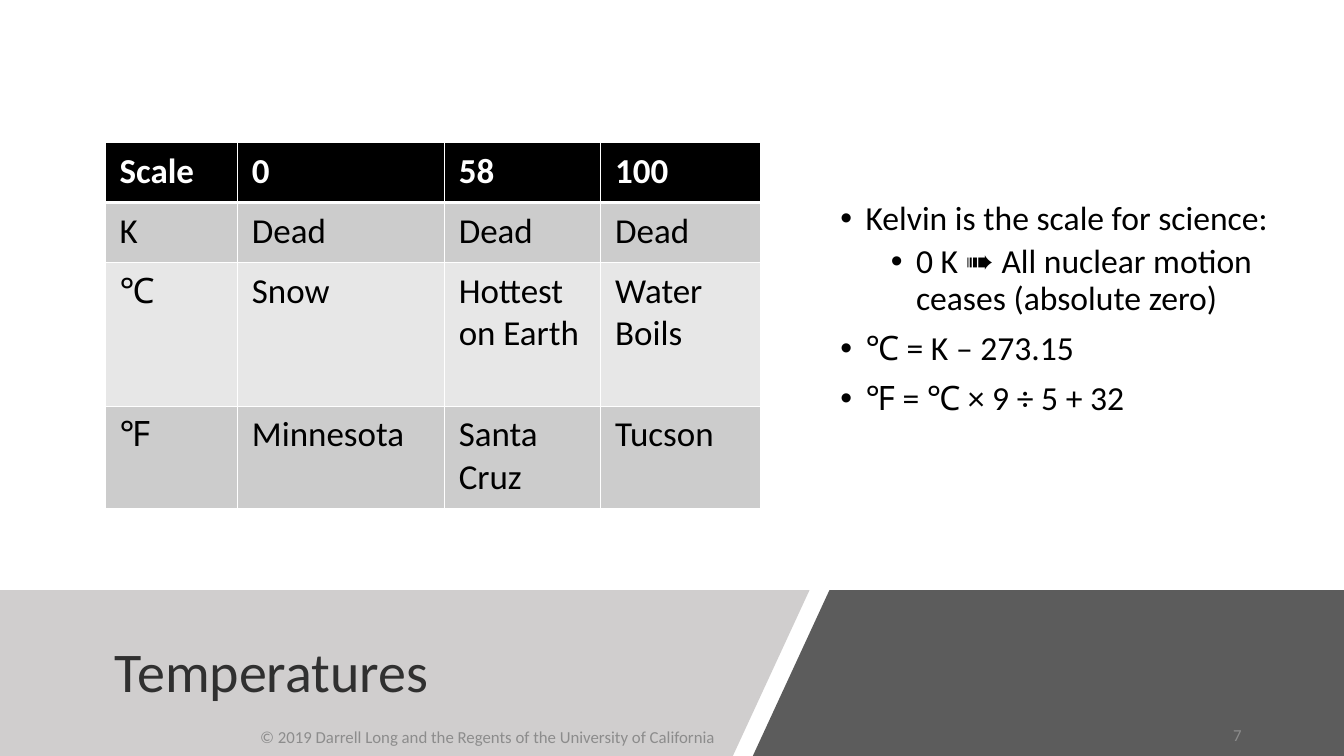
import pptx
import pptx.util
import pptx.dml.color
import pptx.enum.text
import pptx.oxml
import pptx.oxml.ns

PX = 9525
FONT = "Calibri"
COLORS = {
    "black": "000000",
    "white": "FFFFFF",
    "title": "303030",
    "footer": "8C8C8C",
    "left_band": "D0CECE",
    "right_band": "404040",
    "odd_row": "CCCCCC",
    "even_row": "E7E7E7",
}
ALIGN = pptx.enum.text.PP_ALIGN

COLUMN_WIDTHS = [126, 197, 149, 152]
ROW_HEIGHTS = [57, 57, 137, 97]
SCALES = [
    ["Scale", "0", "58", "100"],
    ["K", "Dead", "Dead", "Dead"],
    ["℃", "Snow", "Hottest on Earth", "Water Boils"],
    ["℉", "Minnesota", "Santa Cruz", "Tucson"],
]
FACTS = [
    (0, "Kelvin is the scale for science:"),
    (1, "0 K ➠ All nuclear motion ceases (absolute zero)"),
    (0, "℃ = K – 273.15"),
    (0, "℉ = ℃ × 9 ÷ 5 + 32"),
]


def px(length):
    return pptx.util.Emu(length * PX)


def rgb(color):
    return pptx.dml.color.RGBColor.from_string(COLORS[color])


def xml(tag, body="", **attributes):
    listed = "".join(f' {key}="{value}"' for key, value in attributes.items())
    namespace = pptx.oxml.ns.nsdecls("a")
    return pptx.oxml.parse_xml(f"<a:{tag} {namespace}{listed}>{body}</a:{tag}>")


def set_font(paragraph, size, color, bold=False):
    font = paragraph.font
    font.name = FONT
    font.size = pptx.util.Pt(size)
    font.bold = bold
    font.color.rgb = rgb(color)


def add_band(slide, corners, color, opacity=100):
    builder = slide.shapes.build_freeform(*corners[0], scale=PX)
    builder.add_line_segments(corners[1:], close=True)
    band = builder.convert_to_shape()
    band.shadow.inherit = False
    band.line.fill.background()
    band.fill.solid()
    band.fill.fore_color.rgb = rgb(color)
    if opacity < 100:
        hue = band.fill._xPr.find(".//" + pptx.oxml.ns.qn("a:srgbClr"))
        hue.append(xml("alpha", val=opacity * 1000))


def add_frame(slide, left, top, width, height):
    box = slide.shapes.add_textbox(px(left), px(top), px(width), px(height))
    frame = box.text_frame
    frame.word_wrap = True
    frame.vertical_anchor = pptx.enum.text.MSO_ANCHOR.MIDDLE
    return frame


def add_label(slide, bounds, text, size, color, align=ALIGN.LEFT):
    label = add_frame(slide, *bounds).paragraphs[0]
    label.text = text
    label.alignment = align
    set_font(label, size, color)


def add_bullets(slide, bounds, facts):
    frame = add_frame(slide, *bounds)
    for index, (level, text) in enumerate(facts):
        fact = frame.paragraphs[0] if index == 0 else frame.add_paragraph()
        fact.text = text
        fact.level = level
        fact.line_spacing = 0.9
        if index:
            fact.space_before = pptx.util.Pt(5 if level else 10)
        properties = fact._p.get_or_add_pPr()
        properties.set("marL", str(px(24 + 48 * level)))
        properties.set("indent", str(px(-24)))
        properties.append(xml("buFont", typeface="Arial"))
        properties.append(xml("buChar", char="•"))
        set_font(fact, 24, "black")


def set_borders(cell, top, bottom):
    fill = f'<a:solidFill><a:srgbClr val="{COLORS["white"]}"/></a:solidFill>'
    widths = {"lnL": 1, "lnR": 1, "lnT": top, "lnB": bottom}
    for position, (side, width) in enumerate(widths.items()):
        border = xml(side, fill, w=pptx.util.Pt(width))
        cell._tc.get_or_add_tcPr().insert(position, border)


def add_scale_table(slide, left, top):
    frame = slide.shapes.add_table(
        len(SCALES), len(COLUMN_WIDTHS), px(left), px(top),
        px(sum(COLUMN_WIDTHS)), px(sum(ROW_HEIGHTS)),
    )
    table = frame.table
    for column, width in zip(table.columns, COLUMN_WIDTHS):
        column.width = px(width)
    for row, height in zip(table.rows, ROW_HEIGHTS):
        row.height = px(height)
    for row, entries in enumerate(SCALES):
        header = row == 0
        background = "black" if header else "odd_row" if row % 2 else "even_row"
        for column, entry in enumerate(entries):
            cell = table.cell(row, column)
            cell.text = entry
            cell.margin_left = cell.margin_right = px(14)
            cell.margin_top = cell.margin_bottom = px(7)
            cell.fill.solid()
            cell.fill.fore_color.rgb = rgb(background)
            set_borders(cell, 3 if row == 1 else 1, 3 if header else 1)
            text_color = "white" if header else "black"
            set_font(cell.text_frame.paragraphs[0], 25, text_color, header)


def main():
    deck = pptx.Presentation()
    deck.slide_width = px(1280)
    deck.slide_height = px(720)
    slide = deck.slides.add_slide(deck.slide_layouts[6])

    right_band = [(790, 562), (1280, 562), (1280, 720), (717, 720)]
    left_band = [(0, 562), (771, 562), (698, 720), (0, 720)]
    add_band(slide, right_band, "right_band", 85)
    add_band(slide, left_band, "left_band")

    add_label(slide, (100, 581, 598, 115), "Temperatures", 40, "title")
    add_bullets(slide, (791, 102, 449, 386), FACTS)
    add_scale_table(slide, 100, 136)
    add_label(
        slide, (237, 683, 455, 38),
        "© 2019 Darrell Long and the Regents of the University of California",
        12, "footer", ALIGN.CENTER,
    )
    add_label(slide, (904, 681, 288, 38), "7", 12, "footer", ALIGN.RIGHT)
    deck.save("out.pptx")


if __name__ == "__main__":
    main()
